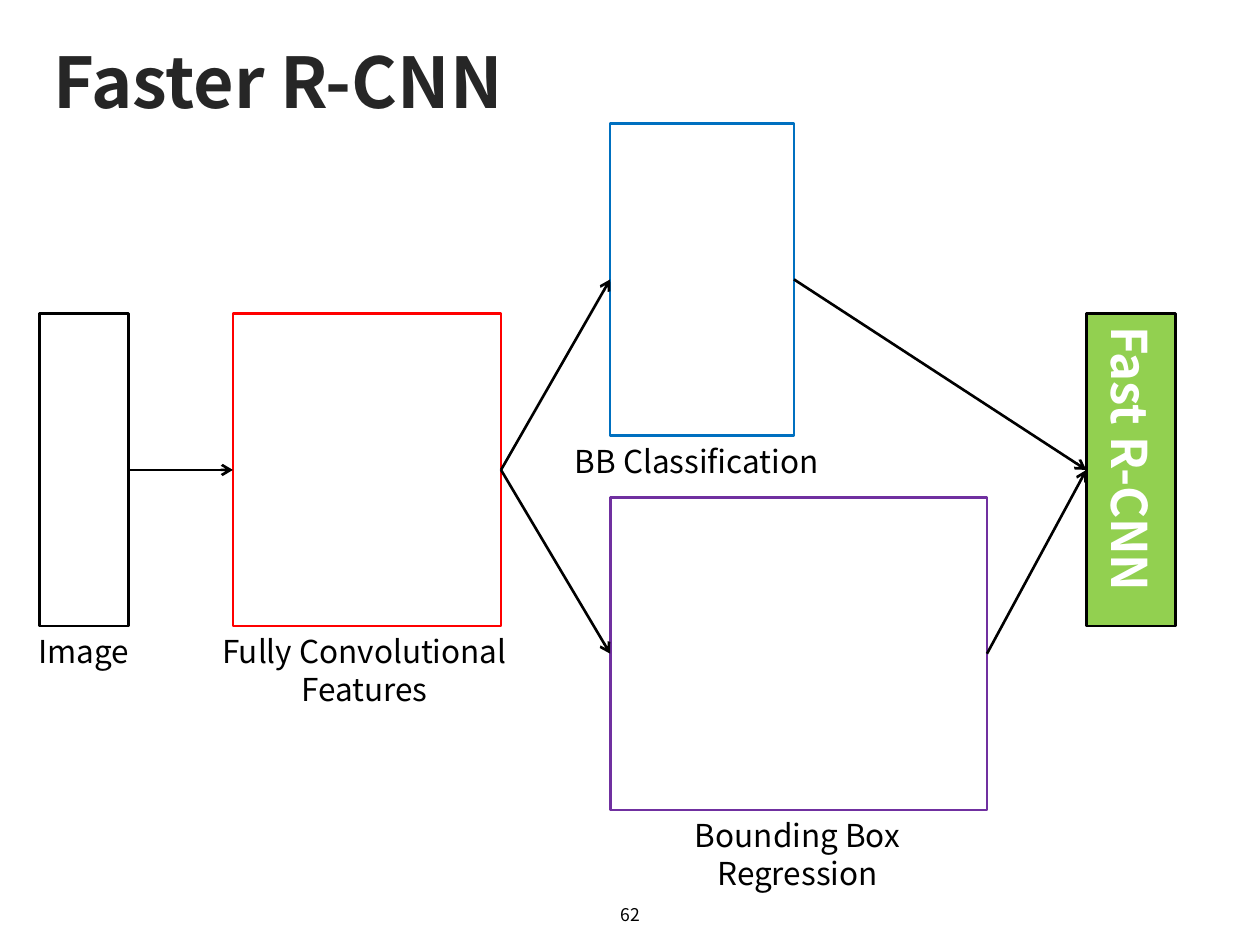
"""Build the Faster R-CNN pipeline slide."""
from lxml.etree import SubElement
from pptx import Presentation
from pptx.dml.color import RGBColor
from pptx.enum.shapes import MSO_CONNECTOR, MSO_SHAPE
from pptx.enum.text import MSO_ANCHOR, PP_ALIGN
from pptx.oxml.ns import qn
from pptx.util import Pt

BLACK = RGBColor(0x00, 0x00, 0x00)
CHARCOAL = RGBColor(0x26, 0x26, 0x26)
WHITE = RGBColor(0xFF, 0xFF, 0xFF)
RED = RGBColor(0xFF, 0x00, 0x00)
BLUE = RGBColor(0x00, 0x70, 0xC0)
PURPLE = RGBColor(0x70, 0x30, 0xA0)
GREEN = RGBColor(0x92, 0xD0, 0x50)
FONT = "Noto Sans CJK KR"
LINE_WIDTH = Pt(1.5)
BLOCK_HEIGHT = 178.5
MIDDLE_TOP = 179.3
BRANCH_LEFT = 348.7
RIGHT_SIDE, LEFT_SIDE = 3, 1


def write_text(shape, text, size, color, bold, alignment, anchor):
    """Put one formatted paragraph in a shape."""
    frame = shape.text_frame
    frame.word_wrap = True
    frame.vertical_anchor = anchor
    paragraph = frame.paragraphs[0]
    paragraph.alignment = alignment
    run = paragraph.add_run()
    run.text = text
    run.font.color.rgb = color
    for name, value in {"name": FONT, "size": Pt(size), "bold": bold}.items():
        setattr(run.font, name, value)
    SubElement(run.font._element, qn("a:ea"), typeface=FONT)


presentation = Presentation()
presentation.slide_width = Pt(720)
presentation.slide_height = Pt(540)
slide = presentation.slides.add_slide(presentation.slide_layouts[6])

blocks = {}
for name, left, top, width, color in (
    ("Image", 22.5, MIDDLE_TOP, 51.1, BLACK),
    ("Features", 133.1, MIDDLE_TOP, 153.2, RED),
    ("Classification", BRANCH_LEFT, 70.4, 105, BLUE),
    ("Regression", BRANCH_LEFT, 284.3, 215.3, PURPLE),
    ("Fast R-CNN", 620.8, MIDDLE_TOP, 51.1, BLACK),
):
    block = slide.shapes.add_shape(
        MSO_SHAPE.RECTANGLE, Pt(left), Pt(top), Pt(width), Pt(BLOCK_HEIGHT)
    )
    block.shadow.inherit = False
    block.fill.background()
    block.line.color.rgb = color
    block.line.width = LINE_WIDTH
    blocks[name] = block

detector = blocks["Fast R-CNN"]
detector.fill.solid()
detector.fill.fore_color.rgb = GREEN
write_text(detector, "Fast R-CNN", 28, WHITE, True, PP_ALIGN.CENTER, MSO_ANCHOR.MIDDLE)
detector.text_frame.margin_bottom = Pt(11)
detector.text_frame._txBody.bodyPr.set("vert", "eaVert")

for text, left, top, width, height, size, color, bold, alignment, anchor in (
    ("Faster R-CNN", 23.4, 20.2, 675.4, 51.8, 40, CHARCOAL, True, PP_ALIGN.LEFT, MSO_ANCHOR.MIDDLE),
    ("62", 276, 508.3, 168, 28.8, 10, BLACK, False, PP_ALIGN.CENTER, MSO_ANCHOR.MIDDLE),
    ("Image", 14.3, 357.6, 67.4, 29, 18, BLACK, False, PP_ALIGN.CENTER, MSO_ANCHOR.TOP),
    ("Fully Convolutional Features", 103.5, 357.6, 209.5, 51, 18, BLACK, False, PP_ALIGN.CENTER, MSO_ANCHOR.TOP),
    ("BB Classification", 320, 249.2, 156.2, 29, 18, BLACK, False, PP_ALIGN.CENTER, MSO_ANCHOR.TOP),
    ("Bounding Box Regression", 351, 463, 209.5, 51, 18, BLACK, False, PP_ALIGN.CENTER, MSO_ANCHOR.TOP),
):
    box = slide.shapes.add_textbox(Pt(left), Pt(top), Pt(width), Pt(height))
    write_text(box, text, size, color, bold, alignment, anchor)

for source, target in (
    ("Image", "Features"),
    ("Features", "Classification"),
    ("Features", "Regression"),
    ("Classification", "Fast R-CNN"),
    ("Regression", "Fast R-CNN"),
):
    arrow = slide.shapes.add_connector(MSO_CONNECTOR.STRAIGHT, 0, 0, 0, 0)
    arrow.begin_connect(blocks[source], RIGHT_SIDE)
    arrow.end_connect(blocks[target], LEFT_SIDE)
    arrow.line.color.rgb = BLACK
    arrow.line.width = LINE_WIDTH
    SubElement(arrow.line._get_or_add_ln(), qn("a:tailEnd"), type="arrow")
    SubElement(arrow._element.spPr, qn("a:effectLst"))

presentation.save("out.pptx")
